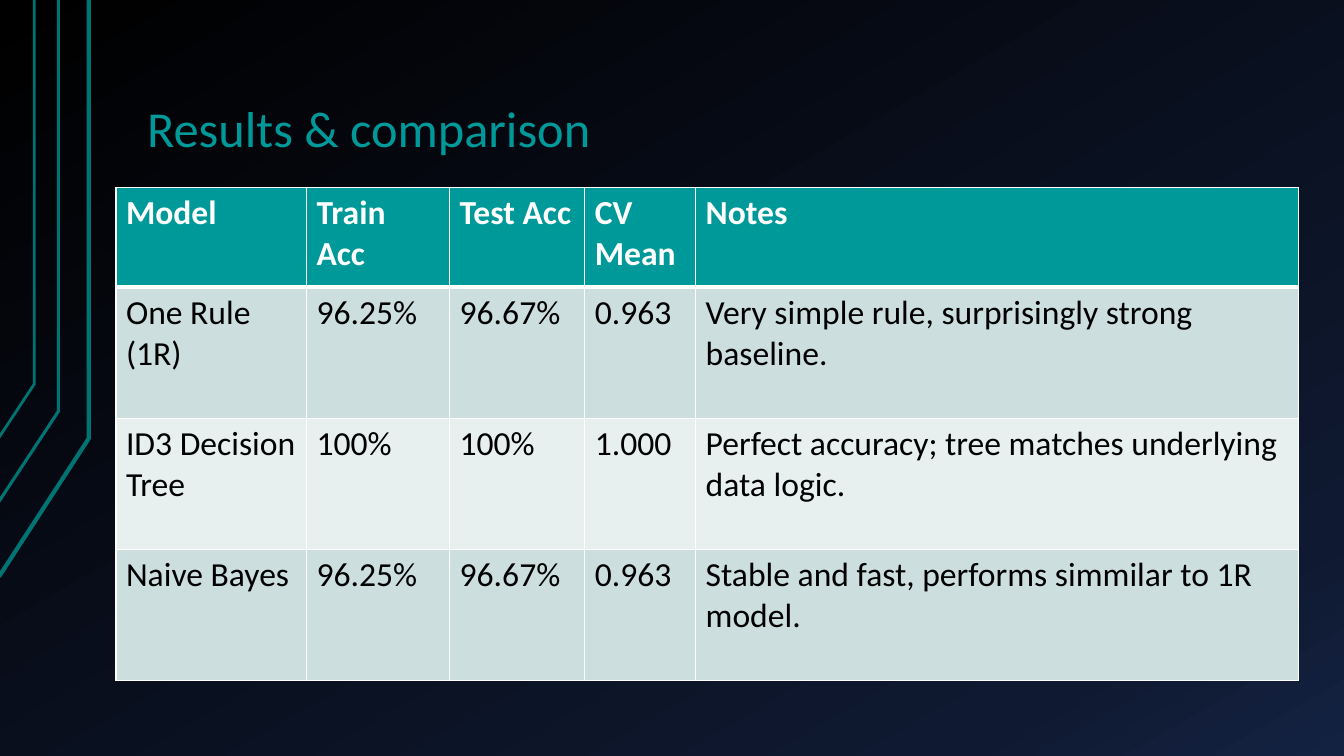
import copy

import lxml.etree
import pptx
import pptx.dml.color
import pptx.enum.text
import pptx.oxml.ns
import pptx.util

Inches = pptx.util.Inches
Pt = pptx.util.Pt
qn = pptx.oxml.ns.qn

FONT = "Calibri"
TEAL, DARK_TEAL, WHITE, BLACK = "009999", "007373", "FFFFFF", "000000"
BAND_FILLS = ["CCDEDE", "E7EFEF"]
SKY_STOPS = [(0, "000000"), (0.85, "0F1931"), (1, "142242")]

# Outer, middle and inner rail: points from lower left to top, and width in points
RAILS = [
    ([(-0.01, 5.72), (0.88, 4.35), (0.88, 0)], 3),
    ([(-0.02, 4.99), (0.58, 4.08), (0.58, 0)], 2.25),
    ([(-0.01, 4.34), (0.34, 3.81), (0.34, 0)], 2),
]

RESULTS = [
    ["Model", "Train Acc", "Test Acc", "CV Mean", "Notes"],
    ["One Rule (1R)", "96.25%", "96.67%", "0.963",
     "Very simple rule, surprisingly strong baseline."],
    ["ID3 Decision Tree", "100%", "100%", "1.000",
     "Perfect accuracy; tree matches underlying data logic."],
    ["Naive Bayes", "96.25%", "96.67%", "0.963",
     "Stable and fast, performs simmilar to 1R model."],
]
COLUMN_WIDTHS = [1.89, 1.42, 1.34, 1.1, 5.98]
ROW_HEIGHTS = [0.99, 1.3, 1.3, 1.3]


def rgb(color):
    return pptx.dml.color.RGBColor.from_string(color)


def format_text(paragraph, size, color, bold=False):
    for run in paragraph.runs:
        run.font.name = FONT
        run.font.size = Pt(size)
        run.font.bold = bold
        run.font.color.rgb = rgb(color)


def paint_background(slide):
    fill = slide.background.fill
    fill.gradient()
    fill.gradient_angle = 300
    stop_list = slide.element.find(".//" + qn("a:gsLst"))
    stop_list.append(copy.deepcopy(stop_list[-1]))
    for stop, (position, color) in zip(fill.gradient_stops, SKY_STOPS):
        stop.position = position
        stop.color.rgb = rgb(color)


def draw_rails(slide, left, top):
    for points, width in RAILS:
        start, *rest = [(Inches(left + x), Inches(top + y)) for x, y in points]
        builder = slide.shapes.build_freeform(*start)
        builder.add_line_segments(rest, close=False)
        rail = builder.convert_to_shape()
        rail.shadow.inherit = False
        rail.fill.background()
        rail.line.color.rgb = rgb(DARK_TEAL)
        rail.line.width = Pt(width)


def place_title(slide, left, top, width, height):
    title = slide.shapes.title
    title.left, title.top = Inches(left), Inches(top)
    title.width, title.height = Inches(width), Inches(height)
    frame = title.text_frame
    frame.text = "Results & comparison"
    frame.word_wrap = True
    frame.auto_size = pptx.enum.text.MSO_AUTO_SIZE.NONE
    frame.vertical_anchor = pptx.enum.text.MSO_ANCHOR.BOTTOM
    frame.margin_left = frame.margin_right = Inches(0.13)
    frame.margin_top = frame.margin_bottom = Inches(0.07)
    paragraph = frame.paragraphs[0]
    paragraph.alignment = pptx.enum.text.PP_ALIGN.LEFT
    paragraph.line_spacing = 0.9
    format_text(paragraph, 36, TEAL)


def set_borders(cell, top, bottom):
    """Draw white cell borders; top and bottom are widths in points."""
    properties = cell._tc.get_or_add_tcPr()
    for side, width in (("L", 1), ("R", 1), ("T", top), ("B", bottom)):
        line = lxml.etree.SubElement(properties, qn(f"a:ln{side}"), w=str(Pt(width)))
        fill = lxml.etree.SubElement(line, qn("a:solidFill"))
        lxml.etree.SubElement(fill, qn("a:srgbClr"), val=WHITE)


def add_results_table(slide, left, top):
    table = slide.shapes.add_table(
        len(RESULTS), len(COLUMN_WIDTHS), Inches(left), Inches(top),
        Inches(sum(COLUMN_WIDTHS)), Inches(sum(ROW_HEIGHTS))).table
    for column, width in zip(table.columns, COLUMN_WIDTHS):
        column.width = Inches(width)
    for r, (row, height) in enumerate(zip(table.rows, ROW_HEIGHTS)):
        row.height = Inches(height)
        header = r == 0
        for cell, wording in zip(row.cells, RESULTS[r]):
            set_borders(cell, top=3 if r == 1 else 1, bottom=3 if header else 1)
            cell.fill.solid()
            cell.fill.fore_color.rgb = rgb(TEAL if header else BAND_FILLS[(r - 1) % 2])
            cell.text_frame.text = wording
            format_text(cell.text_frame.paragraphs[0], 24,
                        WHITE if header else BLACK, bold=header)


def main():
    presentation = pptx.Presentation()
    presentation.slide_width = Inches(13.33)
    presentation.slide_height = Inches(7.5)
    slide = presentation.slides.add_slide(presentation.slide_layouts[5])
    paint_background(slide)
    draw_rails(slide, 0, 0)
    place_title(slide, 1.33, 0.3, 11.33, 1.34)
    add_results_table(slide, 1.15, 1.86)
    presentation.save("out.pptx")


if __name__ == "__main__":
    main()
